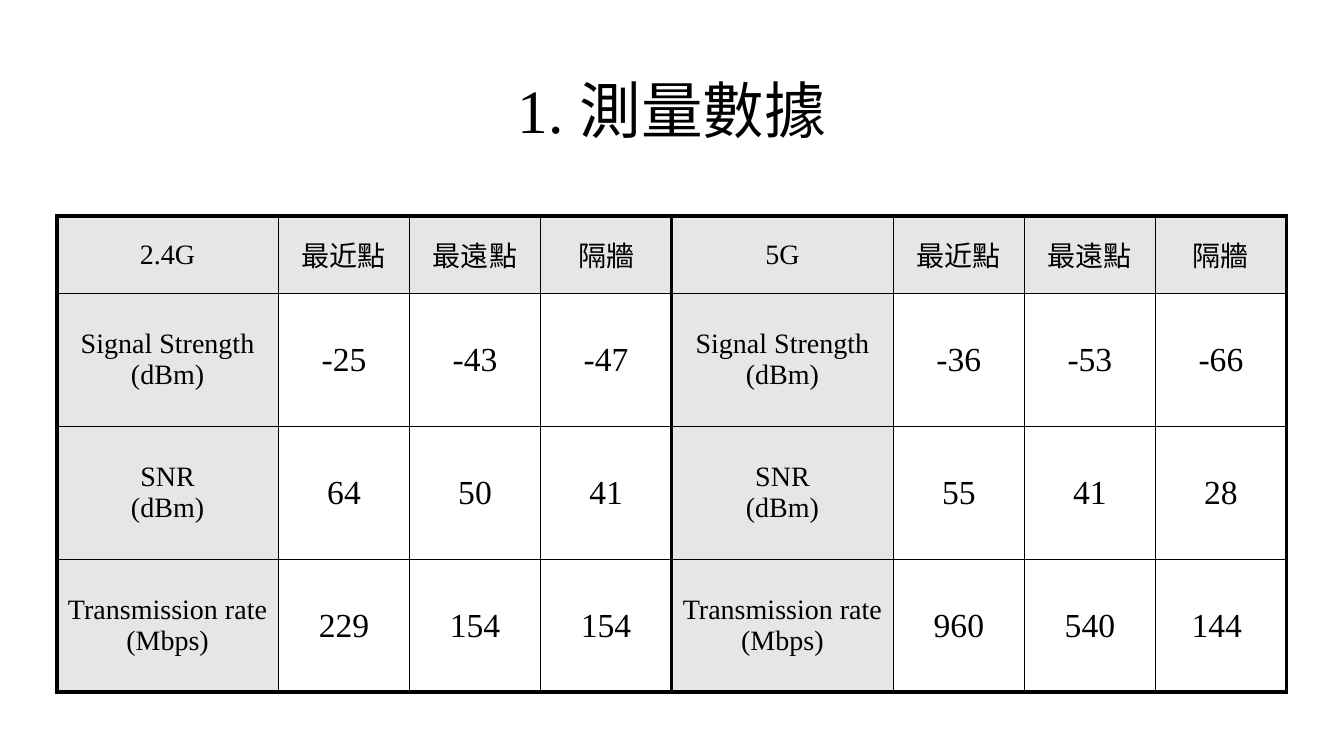
from lxml.etree import SubElement
from pptx import Presentation
from pptx.dml.color import RGBColor
from pptx.enum.text import MSO_ANCHOR as ANCHOR, PP_ALIGN as ALIGN
from pptx.oxml.ns import qn
from pptx.util import Pt

FONT = "Times New Roman"
BLACK, GREY = "000000", "E7E6E6"
THIN, THICK = 1, 3
BAND_COLS = [158.4, 93.6, 93.6, 93.6]
ROW_HEIGHTS = [55.4, 95, 95, 95]
POINTS = ["最近點", "最遠點", "隔牆"]
MEASURES = ["Signal Strength\n(dBm)", "SNR\n(dBm)", "Transmission rate\n(Mbps)"]
BANDS = {
    "2.4G": [["-25", "-43", "-47"], ["64", "50", "41"], ["229", "154", "154"]],
    "5G": [["-36", "-53", "-66"], ["55", "41", "28"], ["960", "540", "144 "]],
}


def rgb(color):
    return RGBColor.from_string(color)


def write(tf, text, size, spacing=None):
    for i, line in enumerate(text.split("\n")):
        p = tf.add_paragraph() if i else tf.paragraphs[0]
        p.alignment = ALIGN.CENTER
        p.line_spacing = spacing
        r = p.add_run()
        r.text = line
        r.font.name = FONT
        r.font.size = Pt(size)
        r.font.color.rgb = rgb(BLACK)


def add_title(s, text):
    tf = s.shapes.add_textbox(Pt(66), Pt(28.8), Pt(828), Pt(104.4)).text_frame
    tf.word_wrap = True
    tf.vertical_anchor = ANCHOR.MIDDLE
    write(tf, text, 44, 0.9)


def add_border(cell, side, width):
    ln = SubElement(cell._tc.get_or_add_tcPr(), qn(f"a:ln{side}"), w=str(Pt(width)))
    fill = SubElement(ln, qn("a:solidFill"))
    SubElement(fill, qn("a:srgbClr"), val=BLACK)


def fill_cell(cell, text, is_label, thick_sides):
    for side in "LRTB":
        add_border(cell, side, THICK if side in thick_sides else THIN)
    if is_label:
        cell.fill.solid()
        cell.fill.fore_color.rgb = rgb(GREY)
    else:
        cell.fill.background()
    cell.vertical_anchor = ANCHOR.MIDDLE
    write(cell.text_frame, text, 20 if is_label else 24)


def band_rows(name, values):
    return [[name, *POINTS]] + [[m, *v] for m, v in zip(MEASURES, values)]


def add_measurements(s):
    widths = BAND_COLS * len(BANDS)
    table = s.shapes.add_table(
        len(ROW_HEIGHTS), len(widths), Pt(40.5), Pt(154.1),
        Pt(sum(widths)), Pt(sum(ROW_HEIGHTS))).table
    table.first_row = table.horz_banding = False
    for col, width in zip(table.columns, widths):
        col.width = Pt(width)
    for row, height in zip(table.rows, ROW_HEIGHTS):
        row.height = Pt(height)
    last_row, last_col = len(ROW_HEIGHTS) - 1, len(BAND_COLS) - 1
    for b, (name, values) in enumerate(BANDS.items()):
        for i, texts in enumerate(band_rows(name, values)):
            for j, text in enumerate(texts):
                edges = {"L": j == 0, "R": j == last_col,
                         "T": i == 0, "B": i == last_row}
                thick_sides = [side for side, outer in edges.items() if outer]
                cell = table.cell(i, b * len(BAND_COLS) + j)
                fill_cell(cell, text, i == 0 or j == 0, thick_sides)


def main():
    prs = Presentation()
    prs.slide_width, prs.slide_height = Pt(960), Pt(540)
    s = prs.slides.add_slide(prs.slide_layouts[6])
    add_title(s, "1. 測量數據")
    add_measurements(s)
    prs.save("out.pptx")


if __name__ == "__main__":
    main()
